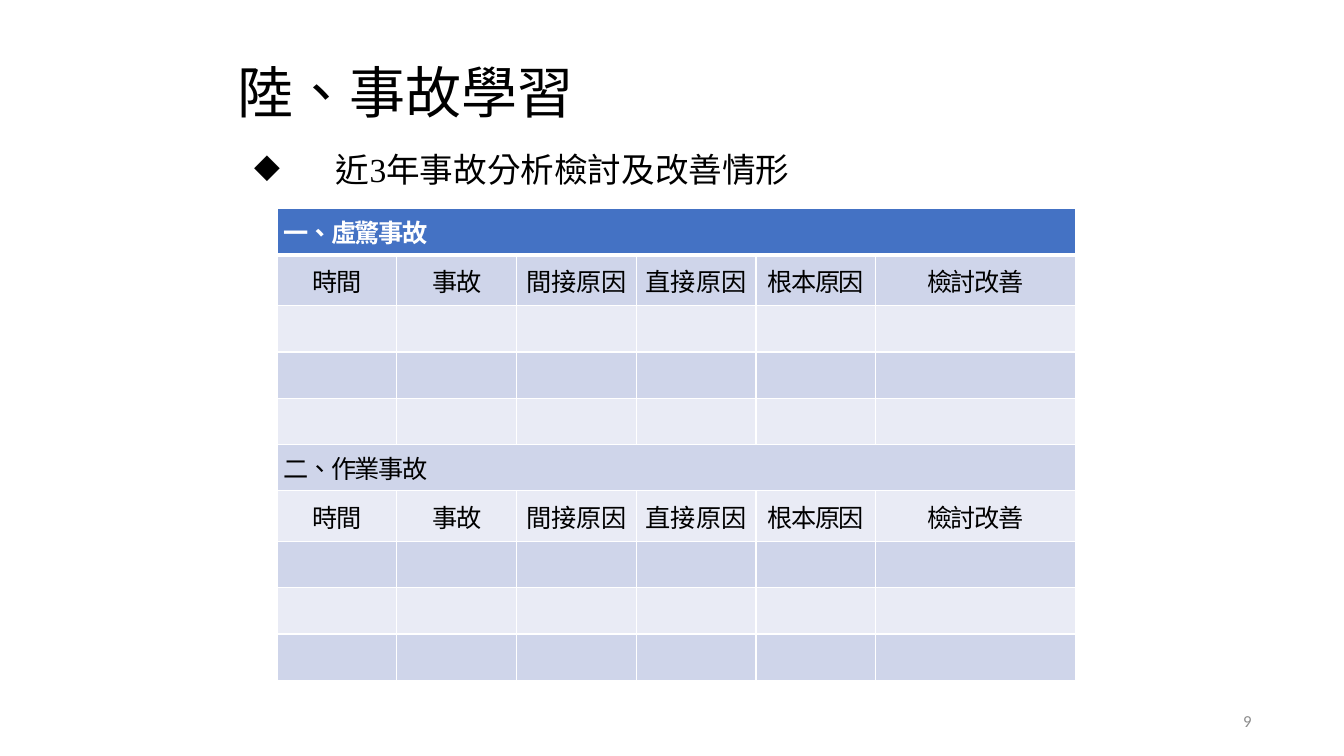
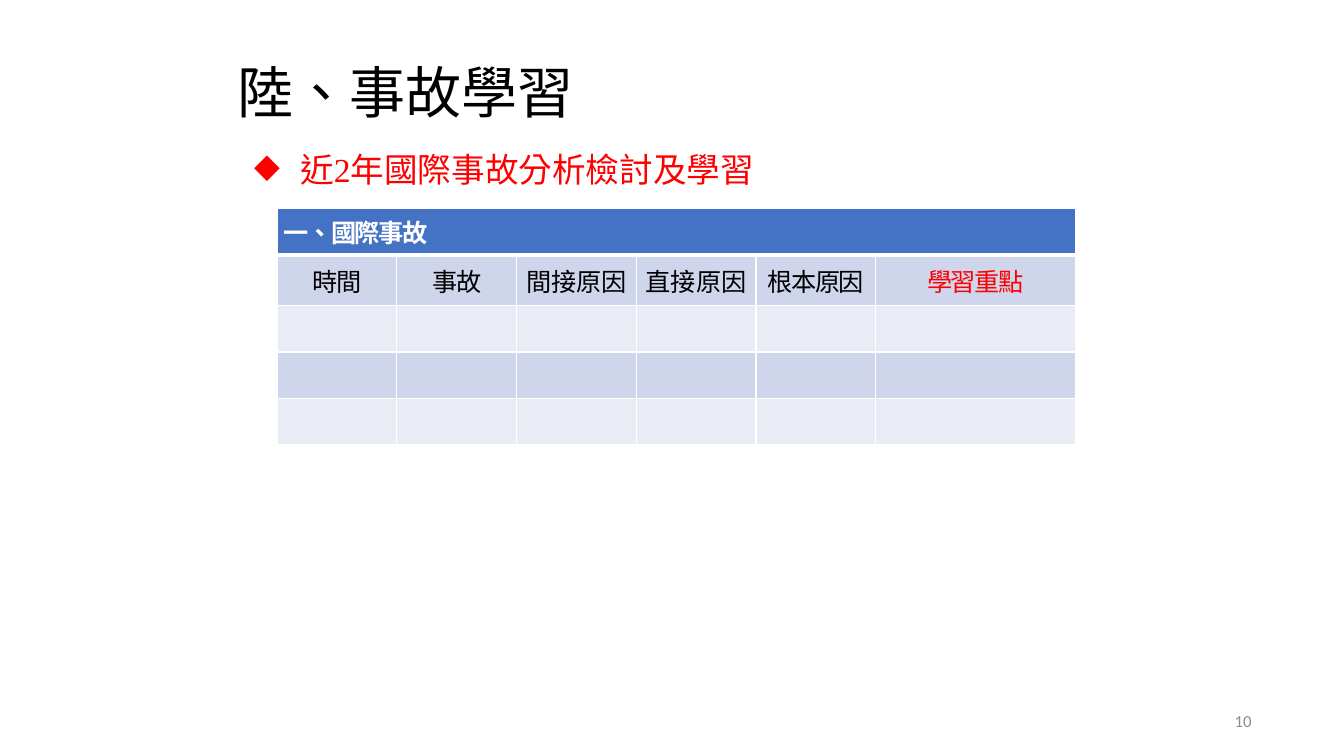
from pptx import Presentation
from pptx.dml.color import RGBColor
from pptx.enum.text import MSO_ANCHOR as Anchor, PP_ALIGN as Align
from pptx.oxml import parse_xml
from pptx.oxml.ns import nsdecls, qn
from pptx.util import Pt

# Shared style
SERIF, SANS, CJK = "Times New Roman", "Calibri", "Noto Sans CJK SC"
BLACK, WHITE, RED, GREY = "000000", "FFFFFF", "FF0000", "8C8C8C"
BLUE, BANDS = "4472C4", ("E9EBF5", "CFD5EA")
TITLE = "陸、事故學習"
COL_WIDTHS = [85.5] * 5 + [142.5]
ROW_HEIGHT, HEADING_HEIGHT = 33, 36.5
CAUSES = ["時間", "事故", "間接原因", "直接原因", "根本原因"]
WIDE_SPACED = ("間接原因", "直接原因")
BLANK_ROWS = [[]] * 3


def rgb(color):
    return RGBColor.from_string(color)


def set_font(p, name, size, color, bold=False, spacing=0):
    font = p.font
    font.name, font.size, font.bold = name, Pt(size), bold
    font.color.rgb = rgb(color)
    props = p._p.pPr.find(qn("a:defRPr"))
    props.set("lang", "zh-TW")
    props.set("spc", str(round(spacing * 100)))
    props.append(parse_xml(f'<a:ea {nsdecls("a")} typeface="{CJK}"/>'))


def set_indent(p, margin, first=0):
    pPr = p._p.get_or_add_pPr()
    pPr.set("marL", str(Pt(margin)))
    pPr.set("indent", str(Pt(first)))


def fill_frame(tf, text, anchor):
    tf.margin_left = tf.margin_top = tf.margin_right = tf.margin_bottom = 0
    tf.word_wrap, tf.vertical_anchor = True, anchor
    tf.text = text
    return tf.paragraphs[0]


def add_text(s, box, text, anchor=Anchor.TOP):
    sp = s.shapes.add_textbox(*map(Pt, box))
    return fill_frame(sp.text_frame, text, anchor)


def add_title(s):
    sp = s.shapes.title
    sp.left, sp.top, sp.width, sp.height = map(Pt, (168.5, 41, 623.5, 48))
    p = fill_frame(sp.text_frame, TITLE, Anchor.MIDDLE)
    p.alignment = Align.LEFT
    set_indent(p, 1.25)
    set_font(p, SERIF, 40, BLACK, spacing=0.1)


def add_bullet(s, text, color, margin):
    p = add_text(s, (180, 106.5, 510, 29), text)
    set_indent(p, margin, 1.5 - margin)
    set_font(p, SERIF, 24, color)
    p._p.pPr.insert(0, parse_xml(f'<a:buChar {nsdecls("a")} char="◆"/>'))


def add_number(s, number):
    p = add_text(s, (678, 500.5, 216, 28.5), str(number), Anchor.MIDDLE)
    p.alignment = Align.RIGHT
    set_font(p, SANS, 12, GREY)


def set_borders(cell, **widths):
    tcPr = cell._tc.get_or_add_tcPr()
    for side in "LRTB":
        width = Pt(widths.get(side, 1))
        tcPr.append(parse_xml(
            f'<a:ln{side} {nsdecls("a")} w="{width}"><a:solidFill>'
            f'<a:srgbClr val="{WHITE}"/></a:solidFill></a:ln{side}>'))


def format_cell(cell, row, text, color, align):
    cell.margin_left = cell.margin_right = Pt(4.5)
    cell.margin_top = cell.margin_bottom = Pt(2.25)
    cell.vertical_anchor = Anchor.MIDDLE
    set_borders(cell, B=3 if row == 0 else 1, T=3 if row == 1 else 1)
    cell.fill.solid()
    cell.fill.fore_color.rgb = rgb(BANDS[row % 2] if row else BLUE)
    cell.text = text
    p = cell.text_frame.paragraphs[0]
    p.alignment = align
    set_font(p, CJK, 18, color, bold=row == 0,
             spacing=0 if text in WIDE_SPACED else -1)


def add_accident_table(s, sections, last_heading, last_color):
    # Each section: a full-width name, the headings, blank rows
    headings = CAUSES + [last_heading]
    rows = [row for name in sections for row in ([name], headings, *BLANK_ROWS)]
    heights = [HEADING_HEIGHT if row is headings else ROW_HEIGHT for row in rows]
    frame = s.shapes.add_table(len(rows), len(COL_WIDTHS), Pt(198), Pt(149),
                               Pt(sum(COL_WIDTHS)), Pt(sum(heights)))
    table = frame.table
    for column, width in zip(table.columns, COL_WIDTHS):
        column.width = Pt(width)
    for r, (row, height) in enumerate(zip(rows, heights)):
        table.rows[r].height = Pt(height)
        is_section = len(row) == 1
        for c in range(len(COL_WIDTHS)):
            text = row[c] if c < len(row) else ""
            color = last_color if text == last_heading else BLACK
            format_cell(table.cell(r, c), r, text, color if r else WHITE,
                        Align.LEFT if is_section else Align.CENTER)
        if is_section:
            table.cell(r, 0).merge(table.cell(r, len(COL_WIDTHS) - 1))


def add_slide(prs, number, bullet, color, margin, sections, last_heading):
    s = prs.slides.add_slide(prs.slide_layouts[5])
    add_title(s)
    add_number(s, number)
    add_accident_table(s, sections, last_heading, color)
    add_bullet(s, bullet, color, margin)


def main():
    prs = Presentation()
    prs.slide_width, prs.slide_height = Pt(960), Pt(540)
    # Domestic accidents
    add_slide(prs, 9, "近3年事故分析檢討及改善情形", BLACK, 60,
              ["一、虛驚事故", "二、作業事故"], "檢討改善")
    # International accidents
    add_slide(prs, 10, "近2年國際事故分析檢討及學習", RED, 34.5,
              ["一、國際事故"], "學習重點")
    prs.save("out.pptx")


if __name__ == "__main__":
    main()
